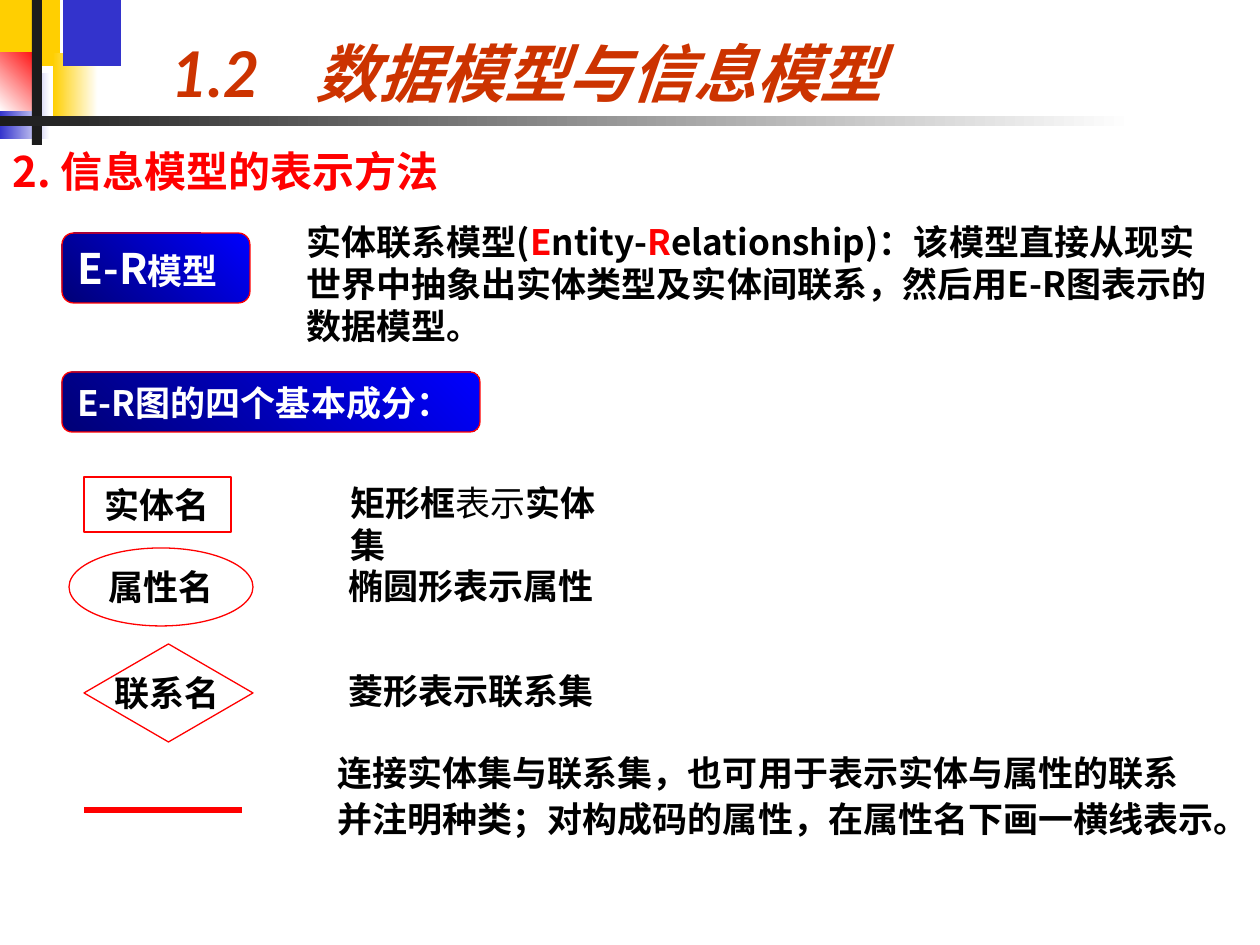
from dataclasses import dataclass

from lxml import etree
from pptx import Presentation
from pptx.dml.color import RGBColor
from pptx.enum.shapes import MSO_CONNECTOR, MSO_SHAPE
from pptx.enum.text import MSO_ANCHOR, PP_ALIGN
from pptx.oxml.ns import qn
from pptx.util import Emu, Pt

RECT, ROUNDED = MSO_SHAPE.RECTANGLE, MSO_SHAPE.ROUNDED_RECTANGLE
OVAL, DIAMOND = MSO_SHAPE.OVAL, MSO_SHAPE.FLOWCHART_DECISION
STRAIGHT = MSO_CONNECTOR.STRAIGHT
TOP, MIDDLE, BOTTOM = MSO_ANCHOR.TOP, MSO_ANCHOR.MIDDLE, MSO_ANCHOR.BOTTOM
LEFT, CENTER = PP_ALIGN.LEFT, PP_ALIGN.CENTER
EMU_PER_PX = 914400 / 126


@dataclass(frozen=True)
class Theme:
    """Colours, fonts and type sizes of the slide."""
    red: str = "FF0000"
    rust: str = "CC3300"
    yellow: str = "FFCF01"
    indigo: str = "3333CC"
    navy: str = "000076"
    blue: str = "0000FF"
    charcoal: str = "1C1C1C"
    white: str = "FFFFFF"
    black: str = "000000"
    title_font: str = "Lato"
    body_font: str = "Noto Sans CJK SC"
    title_size: int = 36
    heading_size: int = 24
    body_size: int = 20
    outline: float = 0.75
    link: float = 3


THEME = Theme()


def px(length):
    """Turn pixels into EMU."""
    return Emu(round(length * EMU_PER_PX))


def rgb(colour):
    """Turn a hex string into a colour."""
    return RGBColor.from_string(colour)


def paint(shape, colours, angle=0):
    """Fill a shape with nothing, one colour or a two-colour gradient."""
    if not colours:
        shape.fill.background()
    elif len(colours) == 1:
        shape.fill.solid()
        shape.fill.fore_color.rgb = rgb(colours[0])
    else:
        shape.fill.gradient()
        shape.fill.gradient_angle = angle
        for stop, colour in zip(shape.fill.gradient_stops, colours):
            stop.color.rgb = rgb(colour)


def add_block(slide, kind, box, colours=(), angle=0, outline=None):
    """Add a preset shape without shadow."""
    shape = slide.shapes.add_shape(kind, *map(px, box))
    shape.shadow.inherit = False
    paint(shape, colours, angle)
    if outline:
        shape.line.color.rgb = rgb(outline)
        shape.line.width = Pt(THEME.outline)
    else:
        shape.line.fill.background()
    return shape


def style(paragraph, size, colour, font, italic):
    """Set the common font of a paragraph for Latin and Chinese text."""
    paragraph.font.size = Pt(size)
    paragraph.font.bold = True
    paragraph.font.italic = italic
    paragraph.font.color.rgb = rgb(colour)
    paragraph.font.name = font
    defaults = paragraph._p.pPr.find(qn("a:defRPr"))
    etree.SubElement(defaults, qn("a:ea"), typeface=THEME.body_font)


def write(shape, lines, size=THEME.body_size, colour=THEME.black, font=THEME.body_font,
          italic=False, align=LEFT, anchor=TOP, wrap=True, tab=None):
    """Write lines, each a list of (text, font overrides) runs."""
    frame = shape.text_frame
    frame.word_wrap = wrap
    frame.vertical_anchor = anchor
    for index, runs in enumerate(lines):
        paragraph = frame.add_paragraph() if index else frame.paragraphs[0]
        paragraph.alignment = align
        if tab:
            stops = etree.SubElement(paragraph._p.get_or_add_pPr(), qn("a:tabLst"))
            etree.SubElement(stops, qn("a:tab"), pos=str(px(tab)), algn="l")
        style(paragraph, size, colour, font, italic)
        for text, overrides in runs:
            run = paragraph.add_run()
            run.text = text
            if "size" in overrides:
                run.font.size = Pt(overrides["size"])
            if "colour" in overrides:
                run.font.color.rgb = rgb(overrides["colour"])
            if "bold" in overrides:
                run.font.bold = overrides["bold"]
    return frame


def plain(*texts):
    """Make one line of a single run from each text."""
    return [[(text, {})] for text in texts]


def add_text(slide, box, lines, **options):
    """Add a text box."""
    return write(slide.shapes.add_textbox(*map(px, box)), lines, **options)


def add_badge(slide, box, runs, size):
    """Add a rounded blue label."""
    badge = add_block(slide, ROUNDED, box, (THEME.navy, THEME.blue), 45, THEME.red)
    write(badge, [runs], size=size, colour=THEME.white)


def add_link(slide, left, right, y):
    """Add the thick red line that stands for a link."""
    link = slide.shapes.add_connector(STRAIGHT, px(right), px(y), px(left), px(y))
    link.line.color.rgb = rgb(THEME.red)
    link.line.width = Pt(THEME.link)
    etree.SubElement(link._element.spPr, qn("a:effectLst"))


def add_decoration(slide):
    """Add the coloured corner blocks and the fading rule."""
    for box, colours, angle in (
        ((0, 0, 60, 66), (THEME.yellow,), 0),
        ((53, 53, 45, 66), (THEME.yellow, THEME.white), 0),
        ((63, 0, 58, 66), (THEME.indigo,), 0),
        ((0, 73, 50, 66), (THEME.indigo, THEME.white), 0),
        ((0, 53, 42, 58), (THEME.white, THEME.red), 45),
        ((32, 0, 10, 145), (THEME.charcoal,), 0),
        ((0, 116, 1134, 10), (THEME.charcoal, THEME.white), 0),
    ):
        add_block(slide, RECT, box, colours, angle)


def add_definition(slide):
    """Add the model badge, its definition and the components badge."""
    red, black = {"colour": THEME.red}, {}
    add_badge(slide, (62, 233, 188, 70),
              [("E-R", {}), ("模型", {"size": THEME.body_size})], THEME.heading_size)
    add_text(slide, (294, 214, 931, 139), [[
        ("实体联系模型(", black), ("E", red), ("ntity-", black), ("R", red),
        ("elationship)：该模型直接从现实世界中抽象出实体类型及实体间联系，"
         "然后用E-R图表示的数据模型。", black)]])
    add_badge(slide, (62, 372, 418, 60), [("E-R图的四个基本成分：", {})], THEME.body_size)


def add_components(slide):
    """Add the four diagram symbols with their explanations."""
    centred = {"align": CENTER, "anchor": MIDDLE, "wrap": False}
    entity = add_block(slide, RECT, (84, 477, 147, 55), outline=THEME.red)
    write(entity, plain("实体名"), **centred)
    attribute = add_block(slide, OVAL, (69, 548, 184, 78), (THEME.white,), outline=THEME.red)
    write(attribute, plain("属性名"), **centred)
    add_block(slide, DIAMOND, (84, 644, 169, 98), outline=THEME.red)
    add_text(slide, (102, 665, 130, 55), plain("联系名"), wrap=False)
    add_link(slide, 84, 242, 810)

    add_text(slide, (338, 475, 305, 55),
             [[("矩形框", {}), ("表示", {"bold": False}), ("实体集", {})]], wrap=False)
    add_text(slide, (336, 558, 285, 55), plain("椭圆形表示属性"))
    add_text(slide, (336, 663, 294, 55), plain("菱形表示联系集"))
    usage = add_text(slide, (325, 750, 935, 97), plain(
        "连接实体集与联系集，也可用于表示实体与属性的联系",
        "并注明种类；对构成码的属性，在属性名下画一横线表示。"), wrap=False)
    for paragraph in usage.paragraphs:
        paragraph.line_spacing = 0.9
    usage.paragraphs[1].space_before = Pt(5)


def main():
    """Build the slide and save it."""
    deck = Presentation()
    deck.slide_width, deck.slide_height = px(1260), px(945)
    slide = deck.slides.add_slide(deck.slide_layouts[6])
    add_decoration(slide)
    add_text(slide, (159, 0, 859, 116), plain("1.2\t数据模型与信息模型"),
             size=THEME.title_size, colour=THEME.rust, font=THEME.title_font,
             italic=True, anchor=BOTTOM, tab=144)
    add_text(slide, (0, 139, 771, 231), plain("2. 信息模型的表示方法"),
             size=THEME.heading_size, colour=THEME.red)
    add_definition(slide)
    add_components(slide)
    deck.save("out.pptx")


if __name__ == "__main__":
    main()
